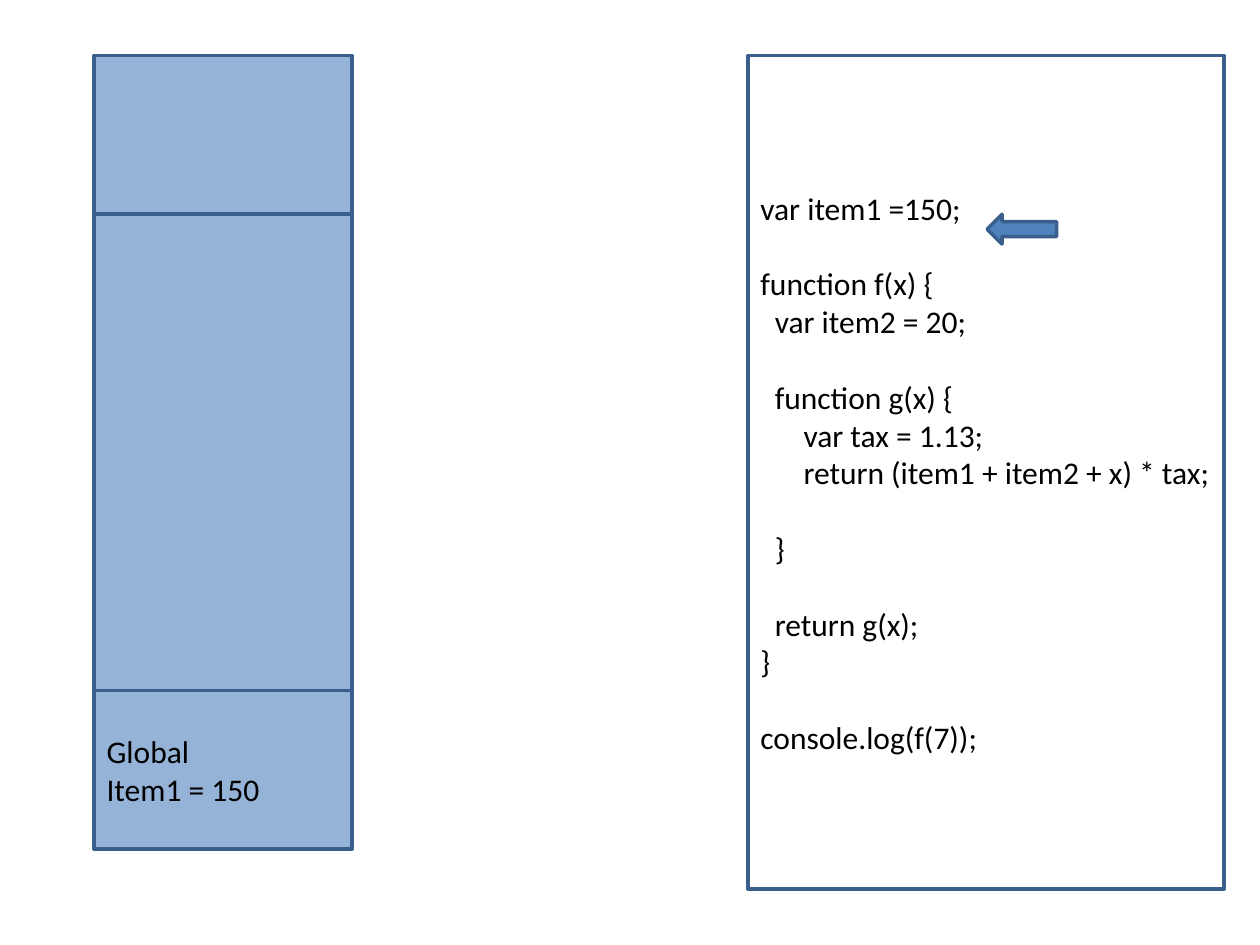
from dataclasses import dataclass

from pptx import Presentation
from pptx import util as u
from pptx.dml.color import RGBColor
from pptx.enum import shapes, text


@dataclass(frozen=True)
class Theme:
    paper: RGBColor = RGBColor(0xFF, 0xFF, 0xFF)
    frame: RGBColor = RGBColor(0x95, 0xB3, 0xD7)
    pointer: RGBColor = RGBColor(0x4F, 0x81, 0xBD)
    outline: RGBColor = RGBColor(0x3A, 0x5F, 0x8C)
    ink: RGBColor = RGBColor(0, 0, 0)
    font: str = "Calibri"
    size: u.Pt = u.Pt(18)
    line_height: u.Pt = u.Pt(21.6)
    border: u.Pt = u.Pt(2)


THEME = Theme()
TOP = 1.12
INDENT = 0.29

# Indent steps, blank lines above, code
CODE = [
    (0, 0, "var item1 =150;"),
    (0, 1, "function f(x) {"),
    (1, 0, "var item2 = 20;"),
    (1, 1, "function g(x) {"),
    (3, 0, "var tax = 1.13;"),
    (3, 0, "return (item1 + item2 + x) * tax;"),
    (1, 1, "}"),
    (1, 1, "return g(x);"),
    (0, 0, "}"),
    (0, 1, "console.log(f(7));"),
]
GLOBAL_FRAME = [(0, 0, "Global"), (0, 0, "Item1 = 150")]

# Call stack from top to bottom: height in cm, lines
STACK = [(3.2, []), (9.6, []), (3.2, GLOBAL_FRAME)]


def add_outlined(slide, kind, left, top, width, height, fill):
    shape = slide.shapes.add_shape(
        kind, u.Cm(left), u.Cm(top), u.Cm(width), u.Cm(height))
    shape.shadow.inherit = False
    shape.fill.solid()
    shape.fill.fore_color.rgb = fill
    shape.line.color.rgb = THEME.outline
    shape.line.width = THEME.border
    return shape


def write_lines(shape, lines):
    frame = shape.text_frame
    frame.word_wrap = True
    frame.margin_right = 0
    frame.vertical_anchor = text.MSO_ANCHOR.MIDDLE
    for number, (steps, blanks, line) in enumerate(lines):
        paragraph = frame.add_paragraph() if number else frame.paragraphs[0]
        paragraph.text = line
        paragraph.alignment = text.PP_ALIGN.LEFT
        paragraph.space_before = u.Emu(blanks * THEME.line_height)
        paragraph.font.name = THEME.font
        paragraph.font.size = THEME.size
        paragraph.font.color.rgb = THEME.ink
        if steps:
            properties = paragraph._p.get_or_add_pPr()
            properties.set("marL", str(u.Cm(steps * INDENT)))
            properties.set("indent", "0")


def add_code(slide):
    panel = add_outlined(slide, shapes.MSO_SHAPE.RECTANGLE,
                         15.08, TOP, 9.6, 16.8, THEME.paper)
    write_lines(panel, CODE)


def add_stack(slide):
    top = TOP
    for height, lines in STACK:
        frame = add_outlined(slide, shapes.MSO_SHAPE.RECTANGLE,
                             1.9, top, 5.2, height, THEME.frame)
        write_lines(frame, lines)
        top += height


def main():
    deck = Presentation()
    deck.slide_width, deck.slide_height = u.Cm(25.4), u.Cm(19.05)
    slide = deck.slides.add_slide(deck.slide_layouts[6])
    add_code(slide)
    add_stack(slide)
    add_outlined(slide, shapes.MSO_SHAPE.LEFT_ARROW,
                 19.9, 4.32, 1.4, 0.6, THEME.pointer)
    deck.save("out.pptx")


if __name__ == "__main__":
    main()
